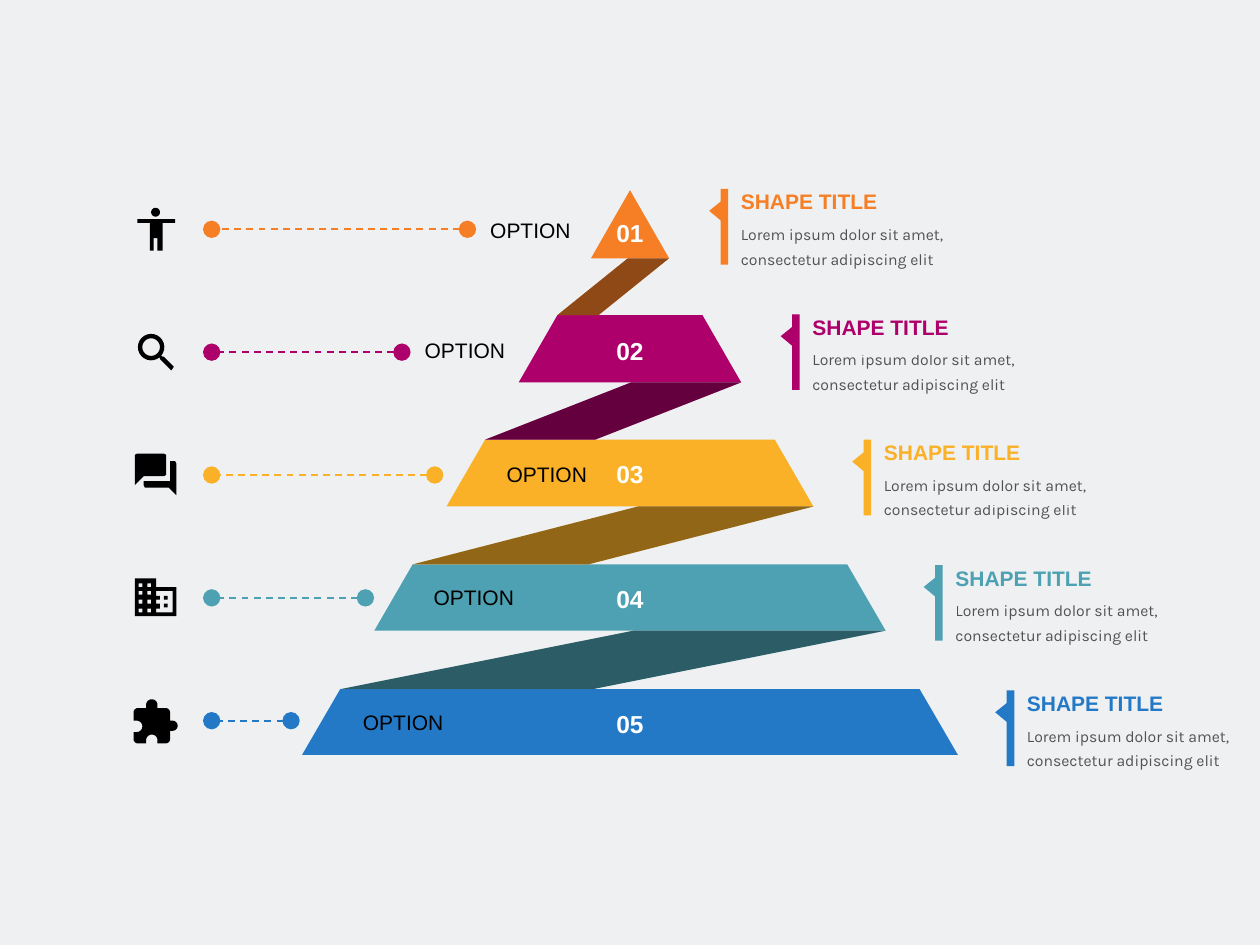
from math import cos, radians, sin

from lxml.etree import SubElement
from pptx import Presentation
from pptx.dml.color import RGBColor
from pptx.enum.dml import MSO_LINE
from pptx.enum.shapes import MSO_CONNECTOR, MSO_SHAPE
from pptx.enum.text import MSO_ANCHOR, PP_ALIGN
from pptx.oxml.ns import qn
from pptx.util import Inches, Pt

BACKGROUND = RGBColor(0xEE, 0xF0, 0xF2)
BLACK = RGBColor(0, 0, 0)
WHITE = RGBColor(0xFF, 0xFF, 0xFF)
ORANGE = RGBColor(0xF6, 0x7F, 0x26)
MAGENTA = RGBColor(0xAE, 0x00, 0x6A)
YELLOW = RGBColor(0xFA, 0xB1, 0x27)
TEAL = RGBColor(0x4D, 0xA1, 0xB2)
BLUE = RGBColor(0x24, 0x79, 0xC6)
COLORS = [ORANGE, MAGENTA, YELLOW, TEAL, BLUE]
CENTER = 5

presentation = Presentation()
presentation.slide_width = Inches(10)
presentation.slide_height = Inches(7.5)
slide = presentation.slides.add_slide(presentation.slide_layouts[6])
slide.background.fill.solid()
slide.background.fill.fore_color.rgb = BACKGROUND


def arc(x, y, radius, start, end):
    """Return points along an arc; angles in degrees, clockwise from the right."""
    steps = 24
    angles = [radians(start + (end - start) * step / steps) for step in range(steps + 1)]
    return [(x + radius * cos(angle), y + radius * sin(angle)) for angle in angles]


def add_text(text, left, top, width, height, size, color, font_name="Arial",
             bold=False, alignment=PP_ALIGN.LEFT, anchor=MSO_ANCHOR.MIDDLE):
    box = slide.shapes.add_textbox(Inches(left), Inches(top), Inches(width), Inches(height))
    frame = box.text_frame
    frame.word_wrap = True
    frame.margin_left = frame.margin_right = frame.margin_top = frame.margin_bottom = 0
    frame.vertical_anchor = anchor
    frame.text = text
    paragraph = frame.paragraphs[0]
    paragraph.alignment = alignment
    font = paragraph.runs[0].font
    font.name, font.size, font.bold = font_name, Pt(size), bold
    font.color.rgb = color
    return paragraph


# Icons, each a list of closed contours
person = [
    arc(1.235, 1.685, 0.035, 0, 360),
    [(1.39, 1.77), (1.29, 1.77), (1.29, 1.99), (1.25, 1.99), (1.25, 1.89), (1.22, 1.89),
     (1.22, 1.99), (1.19, 1.99), (1.19, 1.77), (1.09, 1.77), (1.09, 1.74), (1.39, 1.74)],
]
magnifier = [
    arc(1.2, 2.755, 0.105, 50, 400)
    + [(1.29, 2.83), (1.3, 2.83), (1.38, 2.91), (1.36, 2.94), (1.27, 2.85)],
    arc(1.2, 2.755, 0.07, 0, 360),
]
speech_bubbles = [
    [(1.35, 3.66), (1.39, 3.66), (1.4, 3.68), (1.4, 3.93), (1.34, 3.87), (1.15, 3.87),
     (1.14, 3.85), (1.14, 3.82), (1.35, 3.82)],
    [(1.09, 3.6), (1.3, 3.6), (1.32, 3.61), (1.32, 3.77), (1.3, 3.78), (1.14, 3.78),
     (1.07, 3.85), (1.07, 3.61)],
]
building = [
    [(1.07, 4.59), (1.24, 4.59), (1.24, 4.66), (1.4, 4.66), (1.4, 4.89), (1.07, 4.89)],
    [(1.24, 4.69), (1.37, 4.69), (1.37, 4.86), (1.24, 4.86), (1.24, 4.83), (1.27, 4.83),
     (1.27, 4.79), (1.24, 4.79), (1.24, 4.76), (1.27, 4.76), (1.27, 4.73), (1.24, 4.73)],
]
windows = [(x, y) for x in (1.1, 1.17) for y in (4.63, 4.69, 4.76, 4.83)]
for x, y in windows + [(1.3, 4.73), (1.3, 4.79)]:
    building.append([(x, y), (x + 0.03, y), (x + 0.03, y + 0.03), (x, y + 0.03)])
puzzle_piece = [
    arc(1.315, 5.655, 0.035, -90, 0)
    + [(1.35, 5.72)] + arc(1.37, 5.76, 0.04, -90, 90) + [(1.35, 5.8)]
    + arc(1.315, 5.865, 0.035, 0, 90)
    + [(1.25, 5.9)] + arc(1.205, 5.875, 0.045, 0, -180) + [(1.16, 5.9)]
    + arc(1.095, 5.865, 0.035, 90, 180)
    + [(1.06, 5.81)] + arc(1.085, 5.765, 0.045, 90, -90) + [(1.06, 5.72)]
    + arc(1.095, 5.655, 0.035, 180, 270)
    + [(1.16, 5.62)] + arc(1.205, 5.595, 0.045, 180, 360) + [(1.25, 5.62)],
]
icons = [person, magnifier, speech_bubbles, building, puzzle_piece]
outlines = [(icon, BLACK) for icon in icons]

# Pyramid bands widen evenly from the tip
tops = [1.51 + 0.99 * row for row in range(5)]
bottoms = [2.05 + 0.985 * row for row in range(5)]
top_halves = [0.575 * row for row in range(5)]
bottom_halves = [0.31 + 0.573 * row for row in range(5)]
for color, top, bottom, top_half, bottom_half in zip(
        COLORS, tops, bottoms, top_halves, bottom_halves):
    band = [(CENTER - top_half, top), (CENTER + top_half, top),
            (CENTER + bottom_half, bottom), (CENTER - bottom_half, bottom)]
    outlines.append(([band], color))

for contours, color in outlines:
    builder = None
    for contour in contours:
        points = [(Inches(x), Inches(y)) for x, y in contour]
        if builder is None:
            builder = slide.shapes.build_freeform(*points[0])
        else:
            builder.move_to(*points[0])
        builder.add_line_segments(points[1:], close=True)
    shape = builder.convert_to_shape()
    shape.shadow.inherit = False
    shape.fill.solid()
    shape.fill.fore_color.rgb = color
    shape.line.fill.background()

# Folded ribbons: a coloured strip under a translucent black one
translucent = []
for row, slant in enumerate([1.24, 2.55, 3.89, 5.01]):
    left = CENTER - top_halves[row + 1]
    width = CENTER + bottom_halves[row] - left
    for color in (COLORS[row], BLACK):
        ribbon = slide.shapes.add_shape(
            MSO_SHAPE.PARALLELOGRAM, Inches(left), Inches(bottoms[row]),
            Inches(width), Inches(tops[row + 1] - bottoms[row]))
        ribbon.adjustments[0] = slant
        ribbon.shadow.inherit = False
        ribbon.fill.solid()
        ribbon.fill.fore_color.rgb = color
        ribbon.line.fill.background()
    translucent.append((ribbon, 42))

# Callouts, numbers, options and dashed links
option_boxes = [(3.69, 1.73, 1.04), (3.17, 2.68, 1.04), (3.77, 3.66, 1.14),
                (3.19, 4.64, 1.14), (2.63, 5.63, 1.14)]
number_tops = [1.73, 2.66, 3.64, 4.63, 5.62]
link_starts = [3.71, 3.19, 3.45, 2.9, 2.31]
for row, color in enumerate(COLORS):
    left, top = 5.72 + 0.5675 * row, 1.5 + 0.995 * row
    body = add_text("Lorem ipsum dolor sit amet, consectetur adipiscing elit",
                    left + 0.16, top + 0.24, 2.22, 0.37, 9, BLACK, "Karla",
                    anchor=MSO_ANCHOR.TOP)
    body.line_spacing = 1.3
    translucent.append((body.runs[0], 65))
    add_text("SHAPE TITLE", left + 0.16, top, 2.22, 0.2, 12, color, bold=True)

    marker = slide.shapes.add_shape(MSO_SHAPE.RECTANGULAR_CALLOUT, Inches(left),
                                    Inches(top), Inches(0.06), Inches(0.6))
    marker.adjustments[0], marker.adjustments[1] = -2.03, -0.21
    marker.shadow.inherit = False
    marker.fill.solid()
    marker.fill.fore_color.rgb = color
    marker.line.fill.background()

    add_text(f"{row + 1:02}", 4.83, number_tops[row], 0.34, 0.24, 14, WHITE,
             bold=True, alignment=PP_ALIGN.CENTER)
    option_left, option_top, option_width = option_boxes[row]
    add_text("OPTION", option_left, option_top, option_width, 0.2, 12, BLACK,
             alignment=PP_ALIGN.CENTER)

    link_y = Inches(1.82 + 0.975 * row)
    link = slide.shapes.add_connector(MSO_CONNECTOR.STRAIGHT, Inches(link_starts[row]),
                                      link_y, Inches(1.68), link_y)
    link.line.color.rgb = color
    link.line.width = Pt(1)
    link.line.dash_style = MSO_LINE.DASH
    line_element = link.line._get_or_add_ln()
    for end in ("a:headEnd", "a:tailEnd"):
        SubElement(line_element, qn(end), type="oval", w="lg", len="lg")
    SubElement(link._element.spPr, qn("a:effectLst"))

for item, opacity in translucent:
    element = item._r if hasattr(item, "_r") else item._element
    color_element = next(element.iter(qn("a:srgbClr")))
    SubElement(color_element, qn("a:alpha"), val=str(opacity * 1000))

presentation.save("out.pptx")
